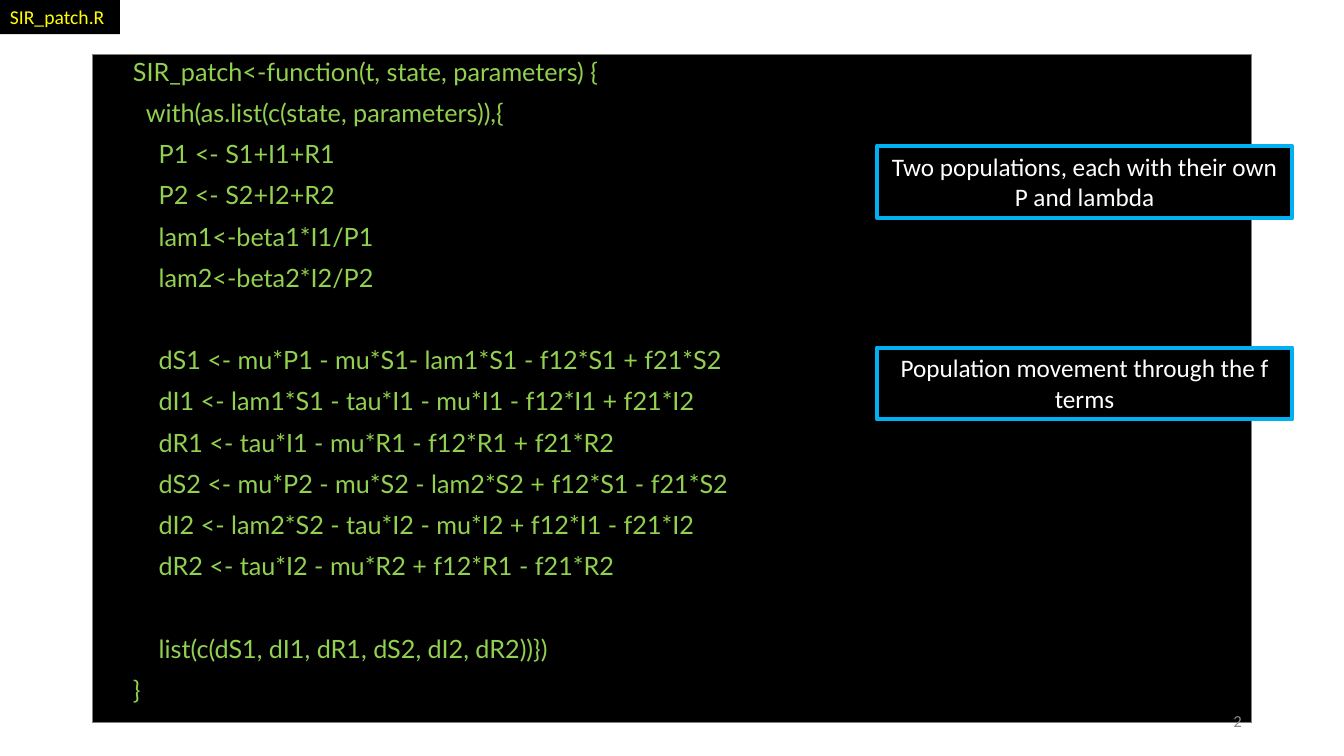
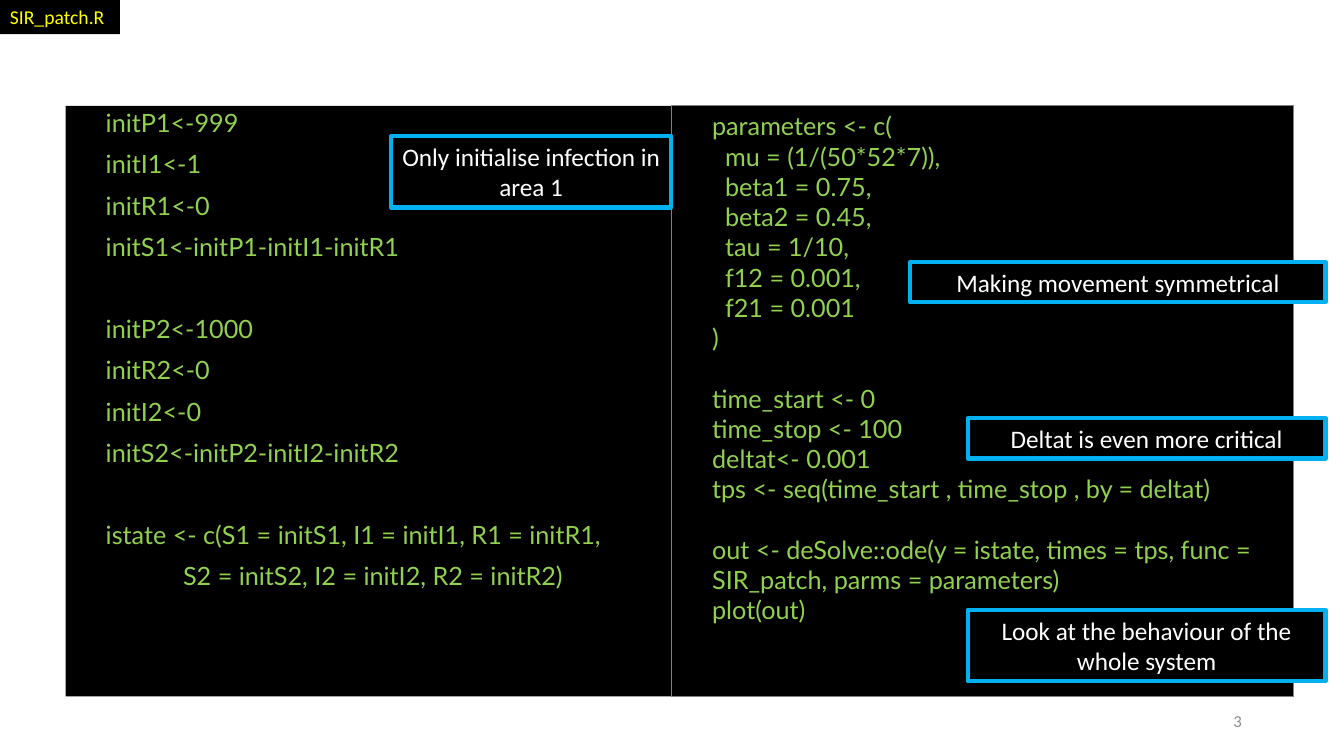
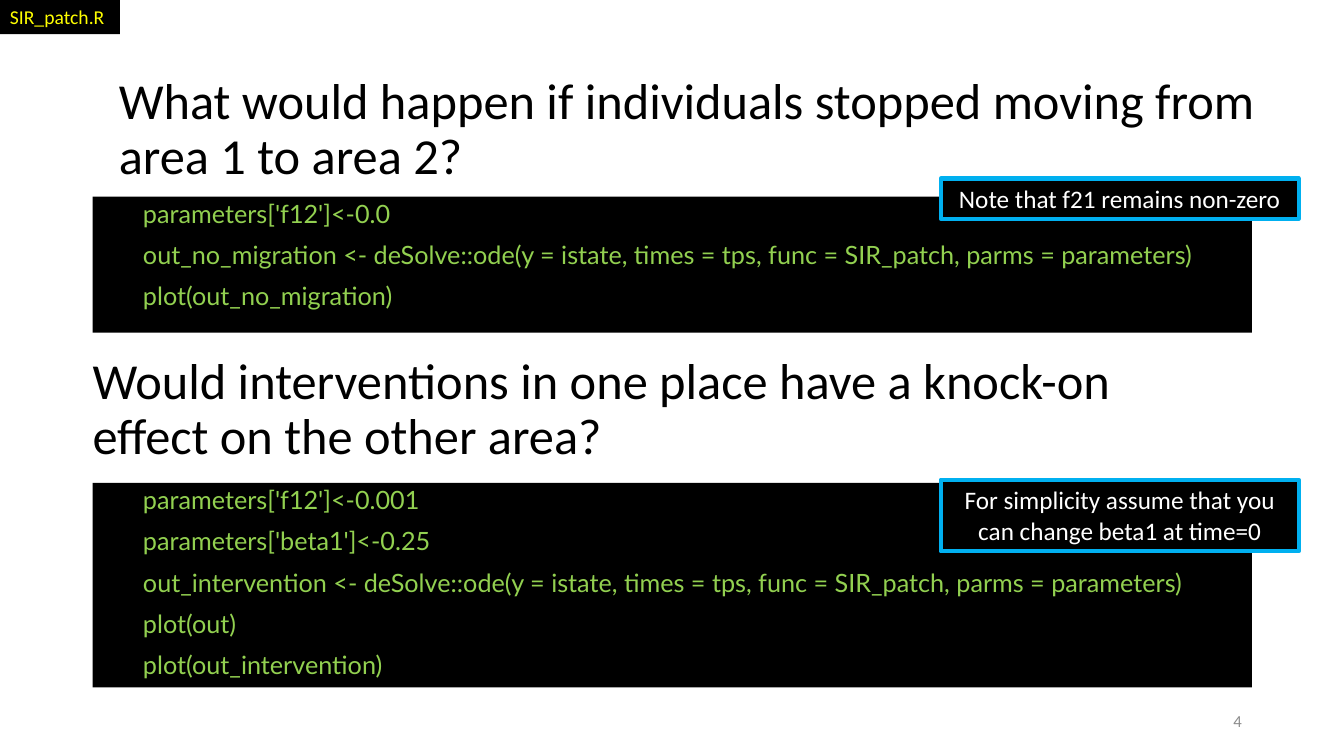
"""Build three slides that walk through the SIR_patch.R two-area model."""
import pptx
import pptx.util
import pptx.dml.color
import pptx.enum.text
import pptx.enum.shapes

Pt = pptx.util.Pt
ALIGN = pptx.enum.text.PP_ALIGN
ANCHOR = pptx.enum.text.MSO_ANCHOR
HUE = {"black": "000000", "white": "FFFFFF", "green": "92D050", "blue": "00B0F0",
       "yellow": "FFFF00", "grey": "808080", "pale": "8C8C8C"}
SPACE = 4.6
WIDE = 86.25
SHORT, TALL = 5.33, 9.47

deck = pptx.Presentation()
deck.slide_width = pptx.util.Inches(13.33)
deck.slide_height = pptx.util.Inches(7.5)
col, row = deck.slide_width / 100, deck.slide_height / 100


def box(page, at, fill=None, edge=None, width=0.75, anchor=ANCHOR.TOP):
    """Add a box placed in hundredths of the slide and return its text frame."""
    x, y, w, h = at
    place = [int(v) for v in (x * col, y * row, w * col, h * row)]
    if fill:
        shape = page.shapes.add_shape(pptx.enum.shapes.MSO_SHAPE.RECTANGLE, *place)
        shape.shadow.inherit = False
        shape.fill.solid()
        shape.fill.fore_color.rgb = pptx.dml.color.RGBColor.from_string(HUE[fill])
        if edge:
            shape.line.color.rgb = pptx.dml.color.RGBColor.from_string(HUE[edge])
            shape.line.width = Pt(width)
        else:
            shape.line.fill.background()
    else:
        shape = page.shapes.add_textbox(*place)
    frame = shape.text_frame
    frame.word_wrap = True
    frame.vertical_anchor = anchor
    return frame


def write(para, text, size, hue, align=ALIGN.LEFT, face="Calibri"):
    """Put styled text in a paragraph."""
    para.text = text
    para.alignment = align
    para.font.size = Pt(size)
    para.font.name = face
    para.font.color.rgb = pptx.dml.color.RGBColor.from_string(HUE[hue])


model = """SIR_patch<-function(t, state, parameters) {
  with(as.list(c(state, parameters)),{
    P1 <- S1+I1+R1
    P2 <- S2+I2+R2
    lam1<-beta1*I1/P1
    lam2<-beta2*I2/P2

    dS1 <- mu*P1 - mu*S1- lam1*S1 - f12*S1 + f21*S2
    dI1 <- lam1*S1 - tau*I1 - mu*I1 - f12*I1 + f21*I2
    dR1 <- tau*I1 - mu*R1 - f12*R1 + f21*R2
    dS2 <- mu*P2 - mu*S2 - lam2*S2 + f12*S1 - f21*S2
    dI2 <- lam2*S2 - tau*I2 - mu*I2 + f12*I1 - f21*I2
    dR2 <- tau*I2 - mu*R2 + f12*R1 - f21*R2

    list(c(dS1, dI1, dR1, dS2, dI2, dR2))})
}"""

start = """initP1<-999
initI1<-1
initR1<-0
initS1<-initP1-initI1-initR1

initP2<-1000
initR2<-0
initI2<-0
initS2<-initP2-initI2-initR2

istate <- c(S1 = initS1, I1 = initI1, R1 = initR1,
            S2 = initS2, I2 = initI2, R2 = initR2)"""

solve = """parameters <- c(
  mu = (1/(50*52*7)),
  beta1 = 0.75,
  beta2 = 0.45,
  tau = 1/10,
  f12 = 0.001,
  f21 = 0.001
)

time_start <- 0
time_stop <- 100
deltat<- 0.001
tps <- seq(time_start , time_stop , by = deltat)

out <- deSolve::ode(y = istate, times = tps, func = SIR_patch, parms = parameters)
plot(out)"""

halt = """parameters['f12']<-0.0
out_no_migration <- deSolve::ode(y = istate, times = tps, func = SIR_patch, parms = parameters)
plot(out_no_migration)"""

act = """parameters['f12']<-0.001
parameters['beta1']<-0.25
out_intervention <- deSolve::ode(y = istate, times = tps, func = SIR_patch, parms = parameters)
plot(out)
plot(out_intervention)"""

loose = {"lead": 0.9, "gap": 10, "skip": 29.4}
tight = {"lead": 1.0, "gap": 0, "skip": 21.6}

pages = [
    {"heads": [],
     "codes": [((6.9, 7.2, WIDE, 88.4), model, "grey", 21.6, loose)],
     "notes": [((65.25, 19.33, 30.9, TALL), "Two populations, each with their own P and lambda"),
               ((65.25, 46, 30.9, TALL), "Population movement through the f terms")]},
    {"heads": [],
     "codes": [((4.88, 14, WIDE, 78.13), start, None, 21.6, loose),
               ((50, 14, 46.28, 78.13), solve, "grey", 21.6, tight)],
     "notes": [((29.1, 18, 20.85, TALL), "Only initialise infection in area 1"),
               ((67.73, 34.67, 30.9, SHORT), "Making movement symmetrical"),
               ((72, 55.33, 26.63, SHORT), "Deltat is even more critical"),
               ((72, 80.67, 26.63, TALL), "Look at the behaviour of the whole system")]},
    {"heads": [((8.1, 7.6, WIDE, 19.33),
                "What would happen if individuals stopped moving from area 1 to area 2?"),
               ((6.15, 44.67, WIDE, 19.33),
                "Would interventions in one place have a knock-on effect on the other area?")],
     "codes": [((6.9, 26, WIDE, 18), halt, None, 28.8, loose),
               ((6.9, 63.87, WIDE, 27.07), act, None, 28.8, loose)],
     "notes": [((70, 23.6, 26.63, SHORT), "Note that f21 remains non-zero"),
               ((70, 63.47, 26.63, TALL),
                "For simplicity assume that you can change beta1 at time=0")]},
]

for num, plan in enumerate(pages, 2):
    page = deck.slides.add_slide(deck.slide_layouts[6])

    for at, text in plan["heads"]:
        para = box(page, at, anchor=ANCHOR.MIDDLE).paragraphs[0]
        write(para, text, 36, "black")
        para.line_spacing = 0.9

    for at, code, edge, inset, pace in plan["codes"]:
        frame = box(page, at, "black", edge)
        para, extra = frame.paragraphs[0], 0
        for line in code.split("\n"):
            text = line.lstrip()
            if not text:
                extra = pace["skip"]
                continue
            if para is None:
                para = frame.add_paragraph()
            write(para, text, 18, "green", face="Lato")
            para.line_spacing = pace["lead"]
            para.space_before = Pt(pace["gap"] + extra)
            props = para._p.get_or_add_pPr()
            props.set("marL", str(int(Pt(inset + SPACE * (len(line) - len(text))))))
            props.set("indent", "0")
            para, extra = None, 0

    for at, text in plan["notes"]:
        frame = box(page, at, "black", "blue", 3)
        write(frame.paragraphs[0], text, 18, "white", ALIGN.CENTER)

    tag = box(page, (0, 0, 8.93, 4.53), "black")
    write(tag.paragraphs[0], "SIR_patch.R", 14, "yellow")
    foot = box(page, (70.65, 92.67, 22.5, 5.33), anchor=ANCHOR.MIDDLE)
    write(foot.paragraphs[0], str(num), 12, "pale", ALIGN.RIGHT)

deck.save("out.pptx")
